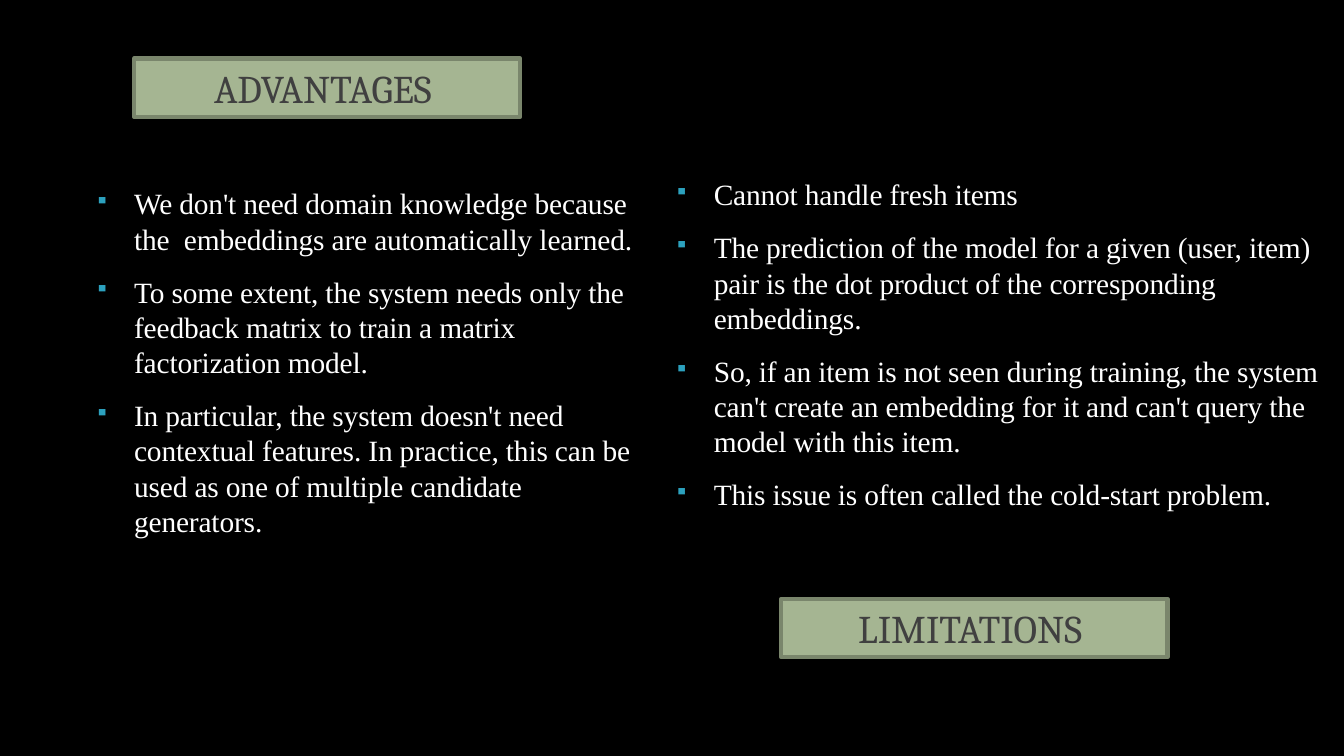
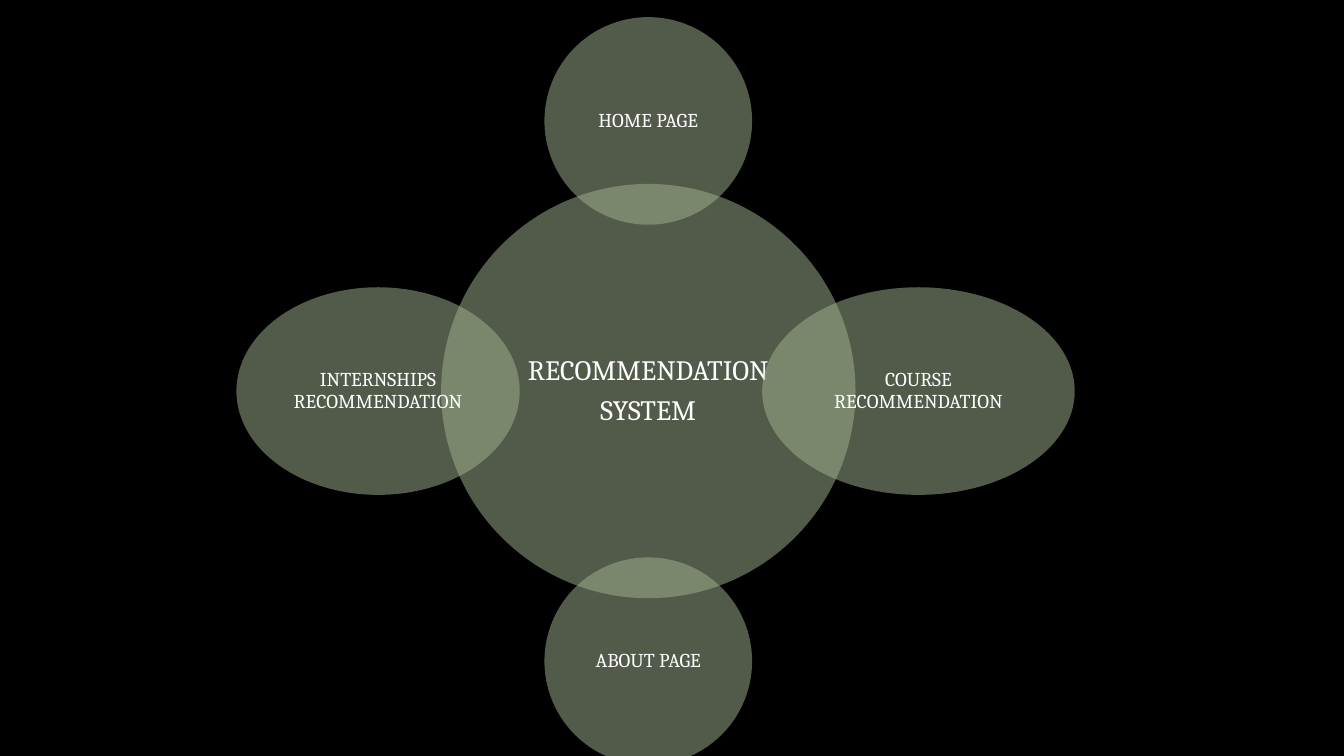
from lxml import etree
from pptx import Presentation
from pptx.dml.color import RGBColor
from pptx.enum.shapes import MSO_SHAPE as Shape
from pptx.enum.text import MSO_ANCHOR as Anchor, PP_ALIGN as Align
from pptx.oxml.ns import qn
from pptx.util import Inches, Pt

BLACK = RGBColor(0x00, 0x00, 0x00)
WHITE = RGBColor(0xFF, 0xFF, 0xFF)
SAGE = RGBColor(0xA5, 0xB5, 0x92)
MOSS = RGBColor(0x7A, 0x86, 0x6C)
GRAY = RGBColor(0x40, 0x40, 0x40)
TEAL = RGBColor(0x2C, 0xA1, 0xBE)
SERIF = "Cambria"
BODY = "Times New Roman"

deck = Presentation()
deck.slide_width, deck.slide_height = Inches(13.33), Inches(7.5)


def add_run(para, text, size, font, color):
    run = para.add_run()
    run.text = text
    run.font.size = Pt(size)
    run.font.name = font
    run.font.color.rgb = color
    return run


def add_panel(slide, kind, left, top, width, height):
    """Add a sage shape whose text is centred vertically."""
    panel = slide.shapes.add_shape(
        kind, Inches(left), Inches(top), Inches(width), Inches(height))
    panel.shadow.inherit = False
    panel.fill.solid()
    panel.fill.fore_color.rgb = SAGE
    panel.text_frame.word_wrap = True
    panel.text_frame.vertical_anchor = Anchor.MIDDLE
    return panel


slides = []
for _ in range(2):
    slide = deck.slides.add_slide(deck.slide_layouts[6])
    slide.background.fill.solid()
    slide.background.fill.fore_color.rgb = BLACK
    slides.append(slide)
lists, wheel = slides

# Slide 1: two bullet lists and their labels
columns = [
    (0.92, 1.67, 5.58, 4.79, [
        "We don't need domain knowledge because the  embeddings are "
        "automatically learned.",
        "To some extent, the system needs only the feedback matrix to train "
        "a matrix factorization model.",
        "In particular, the system doesn't need contextual features. In "
        "practice, this can be used as one of multiple candidate generators.",
    ]),
    (6.67, 1.58, 6.5, 4.09, [
        "Cannot handle fresh items",
        "The prediction of the model for a given (user, item) pair is the "
        "dot product of the corresponding embeddings.",
        "So, if an item is not seen during training, the system can't create "
        "an embedding for it and can't query the model with this item.",
        "This issue is often called the cold-start problem.",
    ]),
]
for left, top, width, height, points in columns:
    box = lists.shapes.add_textbox(
        Inches(left), Inches(top), Inches(width), Inches(height))
    frame = box.text_frame
    frame.word_wrap = True
    frame.margin_left = frame.margin_right = frame.margin_bottom = 0
    frame.margin_top = Inches(0.17)
    for i, point in enumerate(points):
        para = frame.paragraphs[0] if i == 0 else frame.add_paragraph()
        para.space_before = Pt(12.6)
        props = para._p.get_or_add_pPr()
        props.set("marL", str(Inches(0.41)))
        props.set("indent", str(Inches(-0.39)))
        tint = etree.SubElement(props, qn("a:buClr"))
        etree.SubElement(tint, qn("a:srgbClr"), val=str(TEAL))
        etree.SubElement(props, qn("a:buSzPct"), val="67000")
        etree.SubElement(props, qn("a:buChar"), char="▪")
        run = add_run(para, point, 21, BODY, WHITE)
        run.font._element.set("spc", "-10")

for left, top, label in [(1.33, 0.58, "ADVANTAGES "),
                         (7.75, 5.94, "LIMITATIONS ")]:
    panel = add_panel(lists, Shape.RECTANGLE, left, top, 3.83, 0.58)
    panel.line.color.rgb = MOSS
    panel.line.width = Pt(3)
    para = panel.text_frame.paragraphs[0]
    para.alignment = Align.CENTER
    add_run(para, label, 28, SERIF, GRAY)

# Slide 2: a hub with four discs at equal distance from its centre
MID_X, MID_Y, REACH = 6.43, 3.88, 2.68
HUB, DISC = 4.11, 2.06
discs = [
    (0, 0, HUB, HUB, 20, ["RECOMMENDATION", "SYSTEM"]),
    (0, -1, DISC, DISC, 14, ["HOME PAGE"]),
    (1, 0, 3.1, DISC, 14, ["COURSE RECOMMENDATION"]),
    (0, 1, DISC, DISC, 14, ["ABOUT PAGE"]),
    (-1, 0, 2.81, DISC, 14, ["INTERNSHIPS RECOMMENDATION"]),
]
for dx, dy, width, height, size, lines in discs:
    disc = add_panel(wheel, Shape.OVAL,
                     MID_X + dx * REACH - width / 2,
                     MID_Y + dy * REACH - height / 2, width, height)
    disc.line.fill.background()
    color = disc._element.spPr.find(qn("a:solidFill"))[0]
    etree.SubElement(color, qn("a:alpha"), val="50000")
    frame = disc.text_frame
    frame.margin_left = frame.margin_right = Inches(0.02)
    frame.margin_top = frame.margin_bottom = Inches(0.02)
    for i, line in enumerate(lines):
        para = frame.paragraphs[0] if i == 0 else frame.add_paragraph()
        para.alignment = Align.CENTER
        para.line_spacing = 0.9
        para.space_after = Pt(size * 0.35)
        add_run(para, line, size, SERIF, WHITE)

deck.save("out.pptx")
